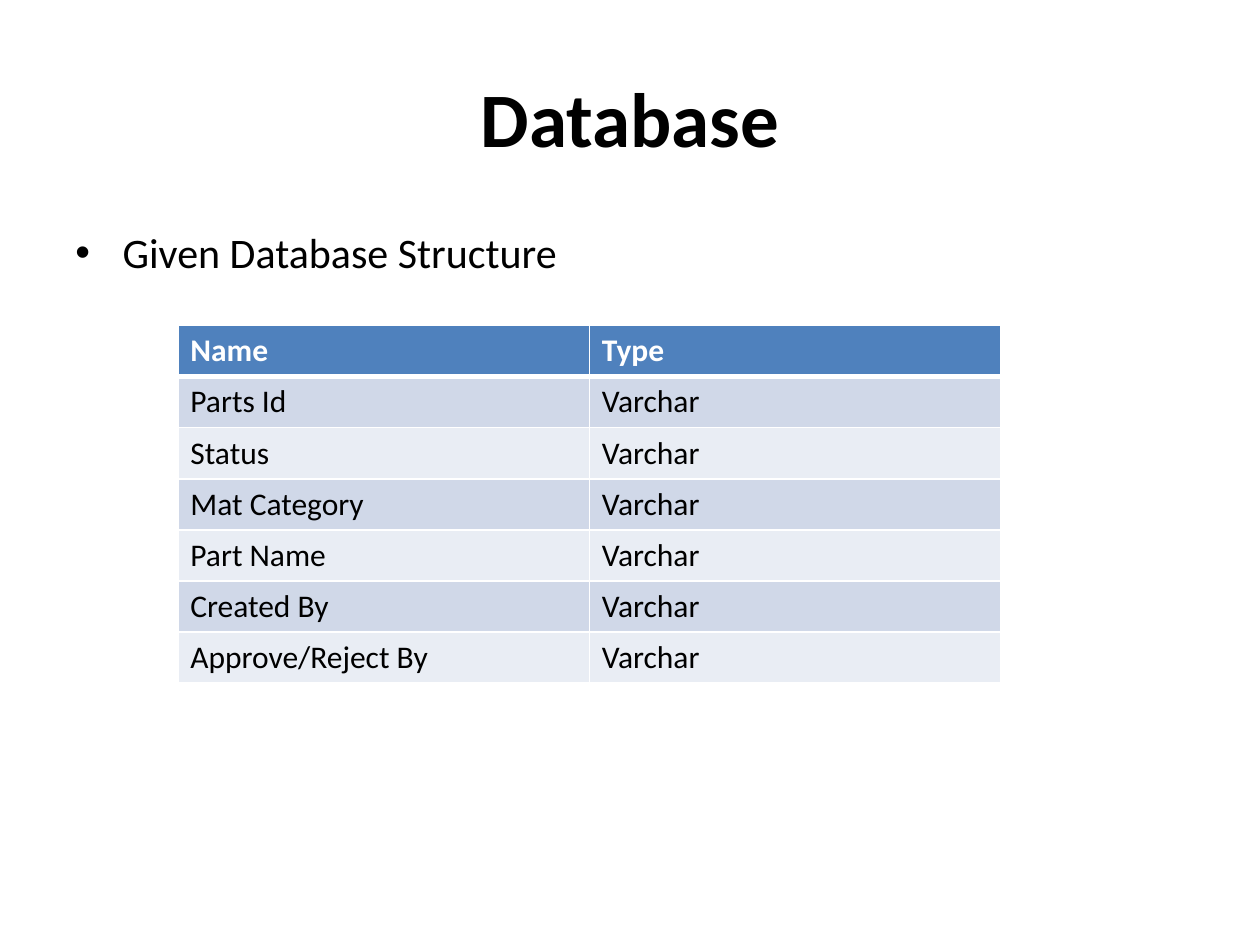
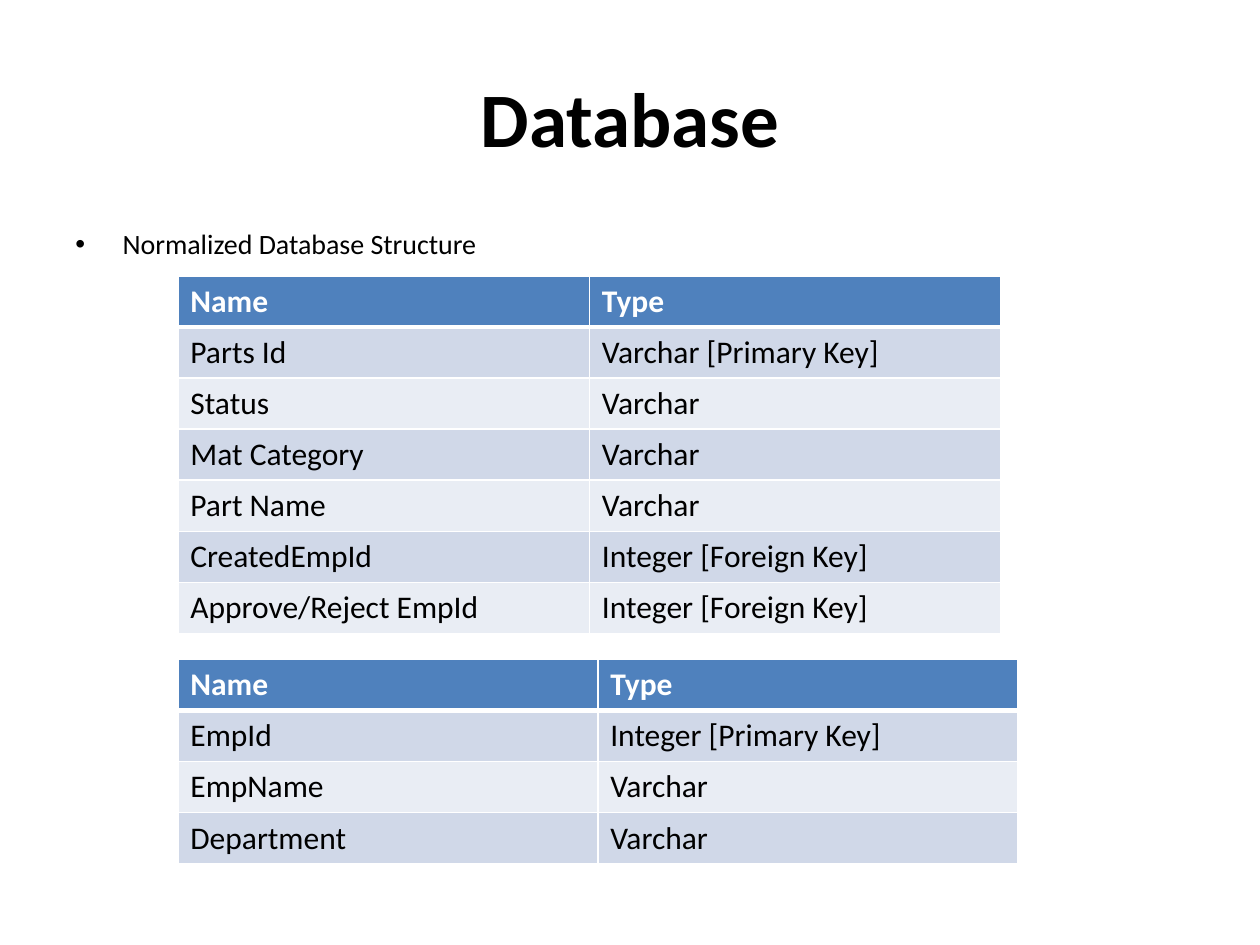
import pptx
import pptx.dml.color
import pptx.enum.text
import pptx.oxml
import pptx.oxml.ns
import pptx.util
from pptx.dml.color import RGBColor
from pptx.util import Pt

FONT = "Calibri"
BLACK = RGBColor(0x00, 0x00, 0x00)
WHITE = RGBColor(0xFF, 0xFF, 0xFF)
HEADER_BLUE = RGBColor(0x4F, 0x81, 0xBD)
BAND_DARK = RGBColor(0xD0, 0xD8, 0xE8)
BAND_LIGHT = RGBColor(0xE9, 0xED, 0xF4)

TITLE_ONLY_LAYOUT = 5
MARGIN = 36
CONTENT_WIDTH = 648
TABLE_LEFT = 101.6
ROW_HEIGHT = 29.2
HANGING_INDENT = 27

HEADER = ("Name", "Type")
GIVEN_PARTS = [
    HEADER,
    ("Parts Id", "Varchar"),
    ("Status", "Varchar"),
    ("Mat Category", "Varchar"),
    ("Part Name", "Varchar"),
    ("Created By", "Varchar"),
    ("Approve/Reject By", "Varchar"),
]
NORMALIZED_PARTS = [
    HEADER,
    ("Parts Id", "Varchar [Primary Key]"),
    ("Status", "Varchar"),
    ("Mat Category", "Varchar"),
    ("Part Name", "Varchar"),
    ("CreatedEmpId", "Integer [Foreign Key]"),
    ("Approve/Reject EmpId", "Integer [Foreign Key]"),
]
EMPLOYEES = [
    HEADER,
    ("EmpId", "Integer [Primary Key]"),
    ("EmpName", "Varchar"),
    ("Department", "Varchar"),
]


def add_span(para, text, size, color=BLACK, bold=False):
    span = para.add_run()
    span.text = text
    span.font.name = FONT
    span.font.size = Pt(size)
    span.font.bold = bold
    span.font.color.rgb = color


def add_page(deck, title):
    page = deck.slides.add_slide(deck.slide_layouts[TITLE_ONLY_LAYOUT])
    box = page.shapes.title
    box.left, box.top = Pt(MARGIN), Pt(21.6)
    box.width, box.height = Pt(CONTENT_WIDTH), Pt(90)
    box.text_frame.vertical_anchor = pptx.enum.text.MSO_ANCHOR.MIDDLE
    para = box.text_frame.paragraphs[0]
    para.alignment = pptx.enum.text.PP_ALIGN.CENTER
    add_span(para, title, 44, bold=True)
    return page


def add_bullet(page, text, size):
    box = page.shapes.add_textbox(Pt(MARGIN), Pt(126), Pt(CONTENT_WIDTH), Pt(356.4))
    box.text_frame.word_wrap = True
    para = box.text_frame.paragraphs[0]
    add_span(para, text, size)
    properties = para._p.get_or_add_pPr()
    properties.set("marL", str(Pt(HANGING_INDENT)))
    properties.set("indent", str(-Pt(HANGING_INDENT)))
    for tag, name, value in (("buFont", "typeface", "Arial"), ("buChar", "char", "•")):
        bullet = pptx.oxml.ns.qn(f"a:{tag}")
        properties.append(properties.makeelement(bullet, {name: value}))


def set_borders(cell, top, bottom):
    """Draw white cell edges; top and bottom are line widths in points."""
    properties = cell._tc.get_or_add_tcPr()
    for side, width in (("L", 1), ("R", 1), ("T", top), ("B", bottom)):
        properties.append(pptx.oxml.parse_xml(
            f'<a:ln{side} {pptx.oxml.ns.nsdecls("a")} w="{Pt(width)}">'
            f'<a:solidFill><a:srgbClr val="{WHITE}"/></a:solidFill></a:ln{side}>'))


def add_field_table(page, rows, top, column_width):
    frame = page.shapes.add_table(
        len(rows), len(HEADER), Pt(TABLE_LEFT), Pt(top),
        Pt(column_width * len(HEADER)), Pt(ROW_HEIGHT * len(rows)))
    table = frame.table
    for column in table.columns:
        column.width = Pt(column_width)
    for index, values in enumerate(rows):
        table.rows[index].height = Pt(ROW_HEIGHT)
        is_header = index == 0
        band = BAND_DARK if index % 2 else BAND_LIGHT
        for position, value in enumerate(values):
            cell = table.cell(index, position)
            set_borders(cell, top=3 if index == 1 else 1, bottom=3 if is_header else 1)
            cell.fill.solid()
            cell.fill.fore_color.rgb = HEADER_BLUE if is_header else band
            add_span(cell.text_frame.paragraphs[0], value, 18,
                     WHITE if is_header else BLACK, is_header)


def main():
    deck = pptx.Presentation()
    deck.slide_width, deck.slide_height = Pt(720), Pt(540)

    page = add_page(deck, "Database")
    add_bullet(page, "Given Database Structure", 24)
    add_field_table(page, GIVEN_PARTS, 186, 235.2)

    page = add_page(deck, "Database")
    add_bullet(page, "Normalized Database Structure", 16)
    add_field_table(page, NORMALIZED_PARTS, 157.6, 235.2)
    add_field_table(page, EMPLOYEES, 376.8, 240)

    deck.save("out.pptx")


if __name__ == "__main__":
    main()
